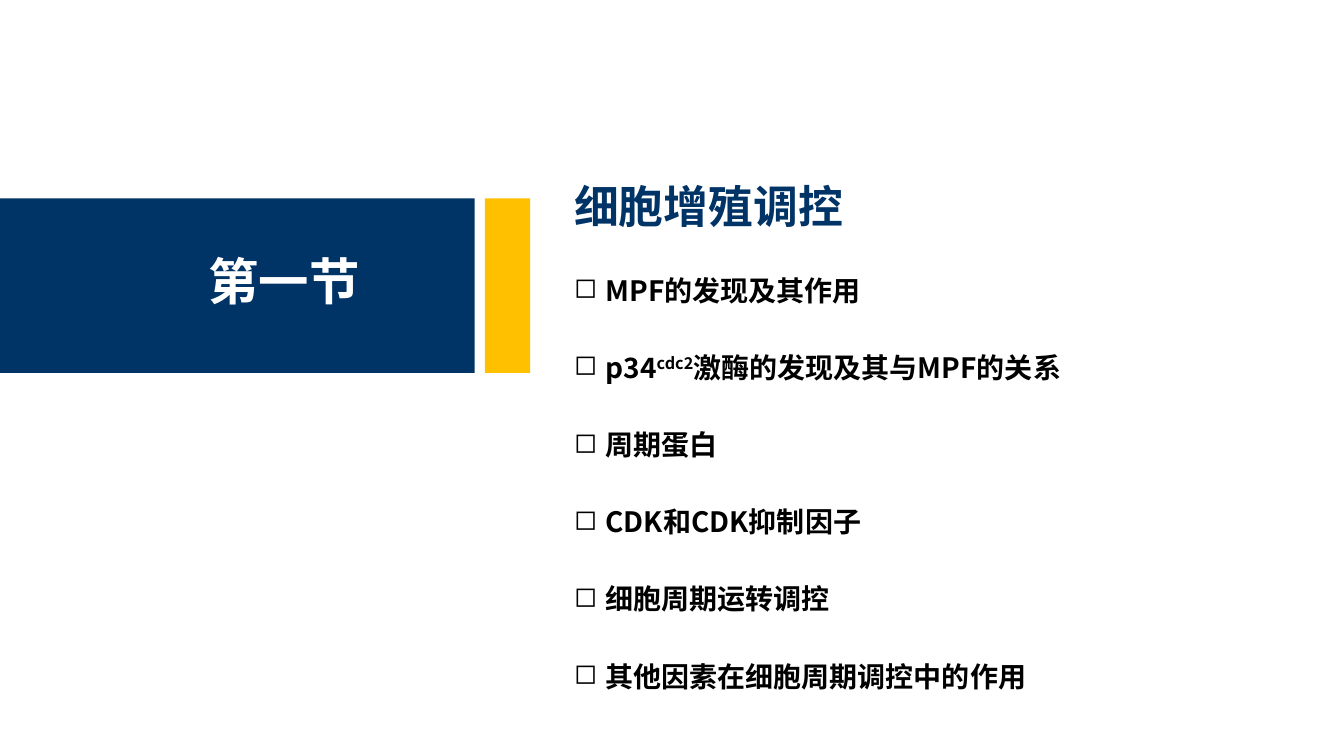
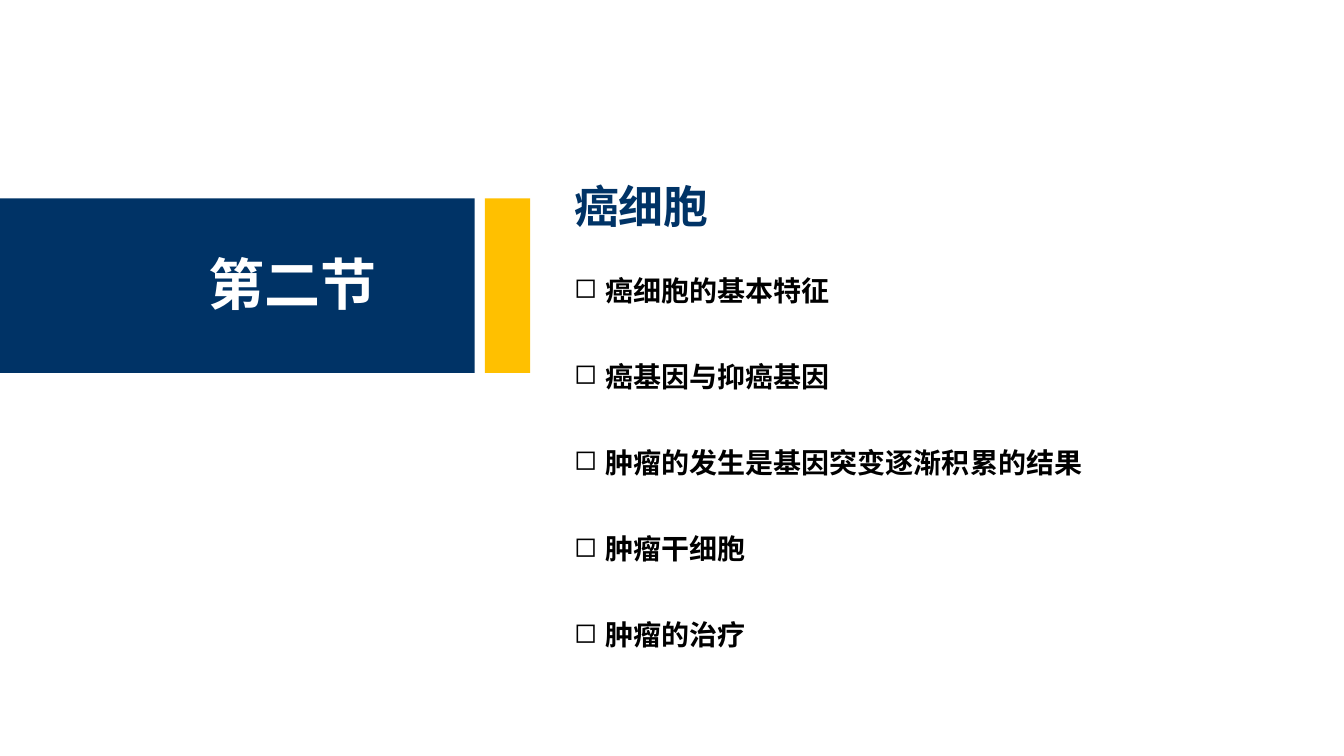
import pptx
import pptx.util
import pptx.dml.color
import pptx.enum.shapes
import pptx.enum.text
import pptx.oxml.ns
from lxml import etree
from pptx.util import Cm

FONT = "Noto Sans CJK SC"
COLORS = {"navy": "003366", "gold": "FFC000", "white": "FFFFFF", "black": "000000"}

# Each item is (text, box width in cm); ^ marks surround superscript text.
SECTIONS = [
    {
        "number": "第一节", "number_size": 36, "number_box": (4.37, 1.8),
        "title": "细胞增殖调控", "step": 1.945,
        "items": [
            ("MPF的发现及其作用", 7.8),
            ("p34^cdc2^激酶的发现及其与MPF的关系", 13.1),
            ("周期蛋白", 4.2),
            ("CDK和CDK抑制因子", 7.9),
            ("细胞周期运转调控", 7.01),
            ("其他因素在细胞周期调控中的作用", 12),
        ],
    },
    {
        "number": "第二节", "number_size": 40, "number_box": (4.78, 1.96),
        "title": "癌细胞", "step": 2.17,
        "items": [
            ("癌细胞的基本特征", 7.01),
            ("癌基因与抑癌基因", 7.01),
            ("肿瘤的发生是基因突变逐渐积累的结果", 13.44),
            ("肿瘤干细胞", 4.88),
            ("肿瘤的治疗", 4.88),
        ],
    },
]

BAND_TOP, BAND_HEIGHT = 5, 4.4
BANDS = [(0, 11.96, "navy"), (12.22, 1.14, "gold")]
TEXT_LEFT, TITLE_TOP, ITEMS_TOP = 14.22, 4.37, 6.76
ITEM_HEIGHT, INDENT = 1.12, 0.79


def rgb(name):
    return pptx.dml.color.RGBColor.from_string(COLORS[name])


def add_band(page, left, width, color):
    band = page.shapes.add_shape(pptx.enum.shapes.MSO_SHAPE.RECTANGLE,
                                 Cm(left), Cm(BAND_TOP), Cm(width), Cm(BAND_HEIGHT))
    band.shadow.inherit = False
    band.fill.solid()
    band.fill.fore_color.rgb = rgb(color)
    band.line.fill.background()


def add_bullet(para):
    properties = para._p.get_or_add_pPr()
    properties.set("marL", str(Cm(INDENT)))
    properties.set("indent", str(-Cm(INDENT)))
    bullet = etree.SubElement(properties, pptx.oxml.ns.qn("a:buChar"))
    bullet.set("char", "◻")


def add_text(page, text, left, top, width, height, size, color, bullet=False):
    box = page.shapes.add_textbox(Cm(left), Cm(top), Cm(width), Cm(height))
    frame = box.text_frame
    frame.word_wrap = True
    frame.auto_size = pptx.enum.text.MSO_AUTO_SIZE.SHAPE_TO_FIT_TEXT
    para = frame.paragraphs[0]
    if bullet:
        add_bullet(para)
    for index, part in enumerate(text.split("^")):
        span = para.add_run()
        span.text = part
        span.font.size = pptx.util.Pt(size)
        span.font.bold = True
        span.font.name = FONT
        span.font.color.rgb = rgb(color)
        properties = span.font._element
        east_asian = etree.SubElement(properties, pptx.oxml.ns.qn("a:ea"))
        east_asian.set("typeface", FONT)
        if index % 2:
            properties.set("baseline", "30000")


def add_section(deck, section):
    page = deck.slides.add_slide(deck.slide_layouts[6])
    for left, width, color in BANDS:
        add_band(page, left, width, color)
    add_text(page, section["number"], 5, 6.17, *section["number_box"],
             size=section["number_size"], color="white")
    add_text(page, section["title"], TEXT_LEFT, TITLE_TOP, 14.22, 1.63,
             size=32, color="navy")
    for row, (text, width) in enumerate(section["items"]):
        add_text(page, text, TEXT_LEFT, ITEMS_TOP + row * section["step"],
                 width, ITEM_HEIGHT, size=20, color="black", bullet=True)


def main():
    deck = pptx.Presentation()
    deck.slide_width, deck.slide_height = Cm(33.87), Cm(19.05)
    for section in SECTIONS:
        add_section(deck, section)
    deck.save("out.pptx")


if __name__ == "__main__":
    main()
